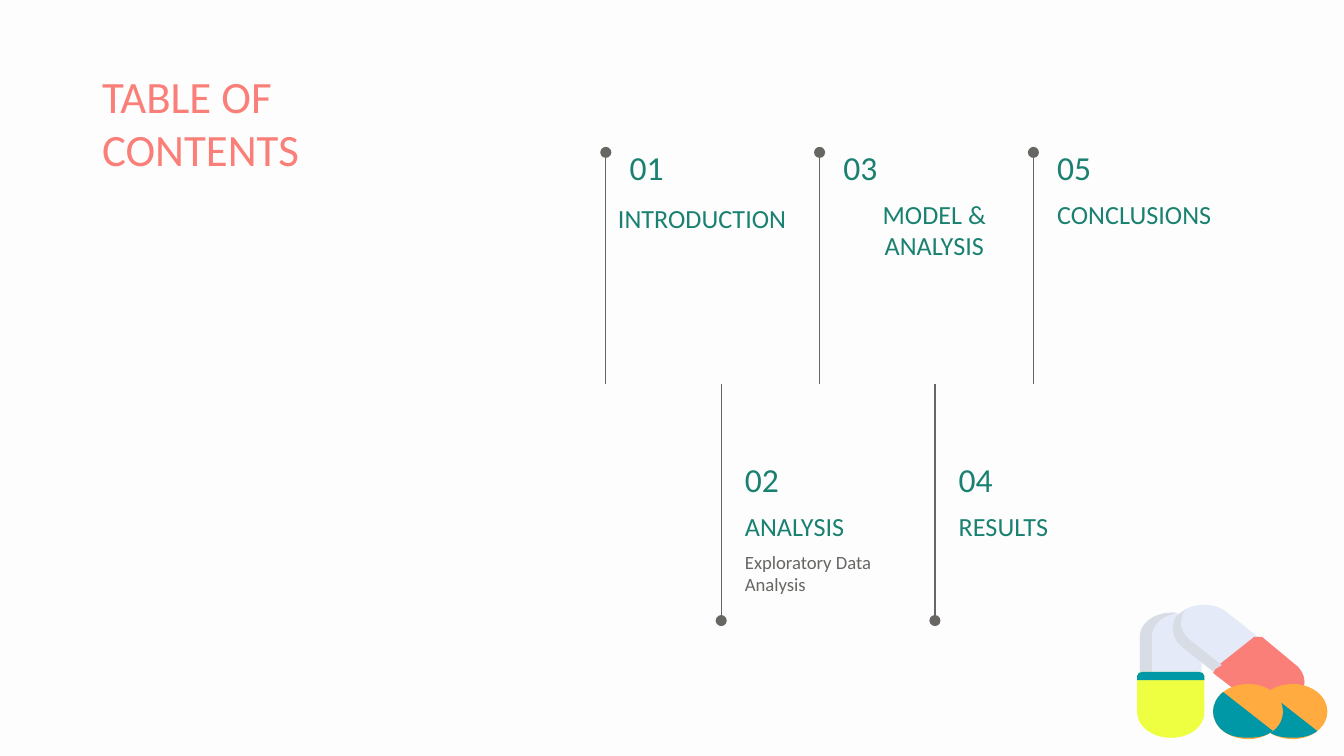
from lxml import etree
from pptx import Presentation
from pptx.dml.color import RGBColor
from pptx.enum.shapes import MSO_CONNECTOR
from pptx.enum.text import MSO_ANCHOR, PP_ALIGN
from pptx.oxml.ns import qn
from pptx.util import Cm, Pt

LINE = MSO_CONNECTOR.STRAIGHT
TOP, MIDDLE = MSO_ANCHOR.TOP, MSO_ANCHOR.MIDDLE
LEFT, CENTER = PP_ALIGN.LEFT, PP_ALIGN.CENTER

PAPER = RGBColor(0xFD, 0xFD, 0xFD)
CORAL = RGBColor(0xFA, 0x7F, 0x79)
GREEN = RGBColor(0x1A, 0x81, 0x71)
GRAY = RGBColor(0x68, 0x66, 0x63)
PALE = RGBColor(0xE4, 0xEA, 0xF8)
SHADE = RGBColor(0xD8, 0xDC, 0xE5)
LIME = RGBColor(0xEE, 0xFF, 0x41)
TEAL = RGBColor(0x00, 0x97, 0xA7)
AMBER = RGBColor(0xFF, 0xAB, 0x40)
FONT = "Calibri"

# number, label, detail, label alignment, label nudge (x, y) in cm
ITEMS = [
    ("01", "INTRODUCTION", "", LEFT, (-0.22, 0.08)),
    ("02", "ANALYSIS", "Exploratory Data Analysis", LEFT, (0, 0)),
    ("03", "MODEL & ANALYSIS", "", CENTER, (0, 0)),
    ("04", "RESULTS", "", LEFT, (0, 0)),
    ("05", "CONCLUSIONS", "", LEFT, (0, 0)),
]

# Outlines on a grid 144 units wide: two numbers are a corner, six a curve.
GRID = 144
UPRIGHT = [
    (PALE, [(25, 6), (23, 6, 21, 6, 18, 7), (9, 9, 2, 16, 2, 24), (2, 51),
            (3, 50, 4, 50, 4, 50), (46, 50), (47, 50, 47, 50, 48, 51),
            (48, 24), (48, 16, 41, 9, 32, 7), (29, 6, 27, 6, 25, 6)]),
    (SHADE, [(25, 6), (23, 6, 21, 6, 18, 7), (9, 9, 2, 16, 2, 24), (2, 51),
             (3, 50, 4, 50, 4, 50), (11, 50), (11, 24),
             (11, 16, 17, 9, 27, 7), (28, 7, 28, 7, 29, 6),
             (28, 6, 26, 6, 25, 6)]),
    (LIME, [(4, 50), (2, 50, 0, 51, 0, 53), (0, 80), (0, 91, 12, 99, 25, 99),
            (39, 99, 50, 91, 50, 80), (50, 53), (50, 51, 48, 50, 46, 50)]),
    (TEAL, [(4, 50), (2, 50, 0, 51, 0, 53), (0, 56), (50, 56), (50, 53),
            (50, 51, 48, 50, 46, 50)]),
]
TILTED = [
    (PALE, [(50, 0), (46, 0, 42, 1, 39, 2), (35, 4, 32, 6, 29, 9),
            (25, 16, 26, 25, 33, 31), (36, 33, 55, 47, 57, 50),
            (58, 49, 58, 48, 58, 48), (88, 25), (88, 24, 89, 24, 90, 24),
            (66, 5), (62, 2, 56, 0, 50, 0)]),
    (CORAL, [(90, 24), (89, 24, 88, 24, 87, 24), (58, 47),
             (56, 49, 56, 51, 58, 52), (83, 71), (87, 75, 94, 77, 100, 77),
             (106, 77, 113, 75, 117, 71), (127, 64, 127, 51, 117, 44),
             (93, 24), (92, 24, 91, 24, 90, 24)]),
]
RIM = (SHADE, [(37, 3), (34, 5, 31, 7, 29, 9), (25, 16, 26, 25, 33, 31),
               (57, 50), (58, 49, 58, 48, 58, 48), (63, 45), (39, 26),
               (32, 20, 31, 12, 35, 5), (36, 4, 36, 4, 37, 3)])
TABLET = [
    (AMBER, [(29, 0), (22, 0, 15, 2, 10, 6), (0, 14, 0, 27, 10, 35),
             (15, 39, 22, 41, 29, 41), (35, 41, 42, 39, 47, 35),
             (57, 27, 57, 14, 47, 6), (42, 2, 35, 0, 29, 0)]),
    (TEAL, [(10, 6), (0, 14, 0, 27, 10, 35), (15, 39, 22, 40, 29, 40),
            (35, 40, 42, 39, 47, 35), (10, 6)]),
]


def add_text(slide, text, box, size, color, anchor=TOP, align=LEFT):
    frame = slide.shapes.add_textbox(*map(Cm, box)).text_frame
    frame.word_wrap = True
    frame.vertical_anchor = anchor
    frame.margin_left = frame.margin_right = Cm(0.25)
    frame.margin_top = frame.margin_bottom = Cm(0.25)
    frame.text = text
    para = frame.paragraphs[0]
    para.alignment = align
    font = para.runs[0].font
    font.name, font.size, font.color.rgb = FONT, Pt(size), color


def add_stem(slide, x, dot, end):
    """Draw an upright line with a round dot at its first end."""
    stem = slide.shapes.add_connector(LINE, Cm(x), Cm(dot), Cm(x), Cm(end))
    stem.line.color.rgb = GRAY
    stem.line.width = Pt(0.75)
    props = stem._element.spPr
    etree.SubElement(props.find(qn("a:ln")), qn("a:headEnd"), type="oval")
    etree.SubElement(props, qn("a:effectLst"))


def add_item(slide, item, x, y, high, upper):
    number, label, detail, align, (dx, dy) = item
    if upper:
        add_stem(slide, x, y, y + high)
        top = y - 0.48
    else:
        add_stem(slide, x, y + high, y)
        top = y + 1.05
    left = x + 0.2
    add_text(slide, number, (left, top, 2.95, 1.5), 18, GREEN, MIDDLE)
    add_text(slide, label, (left + dx, top + 1.1 + dy, 3.94, 1.4),
             14, GREEN, align=align)
    if detail:
        add_text(slide, detail, (left, top + 1.86, 3.84, 0.97), 10, GRAY)


def add_timeline(slide, x, y, pitch, shift, highs):
    """Place items in turn above and below the middle line."""
    for i, item in enumerate(ITEMS):
        col, lower = divmod(i, 2)
        add_item(slide, item, x + col * pitch + lower * shift,
                 y + lower * highs[0], highs[lower], not lower)


def bend(shape, path):
    """Turn each run of three corners that stands for a curve into one."""
    outline = shape._element.find(".//" + qn("a:path"))
    lines = iter(outline.findall(qn("a:lnTo")))
    for part in path[1:]:
        first = next(lines)
        if len(part) == 6:
            curve = etree.Element(qn("a:cubicBezTo"))
            first.addprevious(curve)
            for corner in (first, next(lines), next(lines)):
                curve.append(corner[0])
                outline.remove(corner)


def add_pills(slide, x, y, width):
    shapes = slide.shapes.add_group_shape().shapes
    unit = Cm(width) / GRID

    def add_path(color, path, left=0, top=0):
        spots = [(round(Cm(x) + (left + part[k]) * unit),
                  round(Cm(y) + (top + part[k + 1]) * unit))
                 for part in path for k in range(0, len(part), 2)]
        form = shapes.build_freeform(*spots[0])
        form.add_line_segments(spots[1:])
        shape = form.convert_to_shape()
        bend(shape, path)
        shape.shadow.inherit = False
        shape.fill.solid()
        shape.fill.fore_color.rgb = color
        shape.line.fill.background()

    for color, path in UPRIGHT + TILTED:
        add_path(color, path)
    for left in (87, 54):
        for color, path in TABLET:
            add_path(color, path, left, 59)
    add_path(*RIM)


def main():
    deck = Presentation()
    deck.slide_width, deck.slide_height = Cm(25.4), Cm(14.29)
    slide = deck.slides.add_slide(deck.slide_layouts[6])
    slide.background.fill.solid()
    slide.background.fill.fore_color.rgb = PAPER
    add_text(slide, "TABLE OF CONTENTS", (1.68, 1.04, 7.26, 3.71), 24, CORAL)
    add_timeline(slide, 11.45, 2.88, 4.04, 2.18, (4.37, 4.48))
    add_pills(slide, 21.49, 11.43, 3.66)
    deck.save("out.pptx")


if __name__ == "__main__":
    main()
